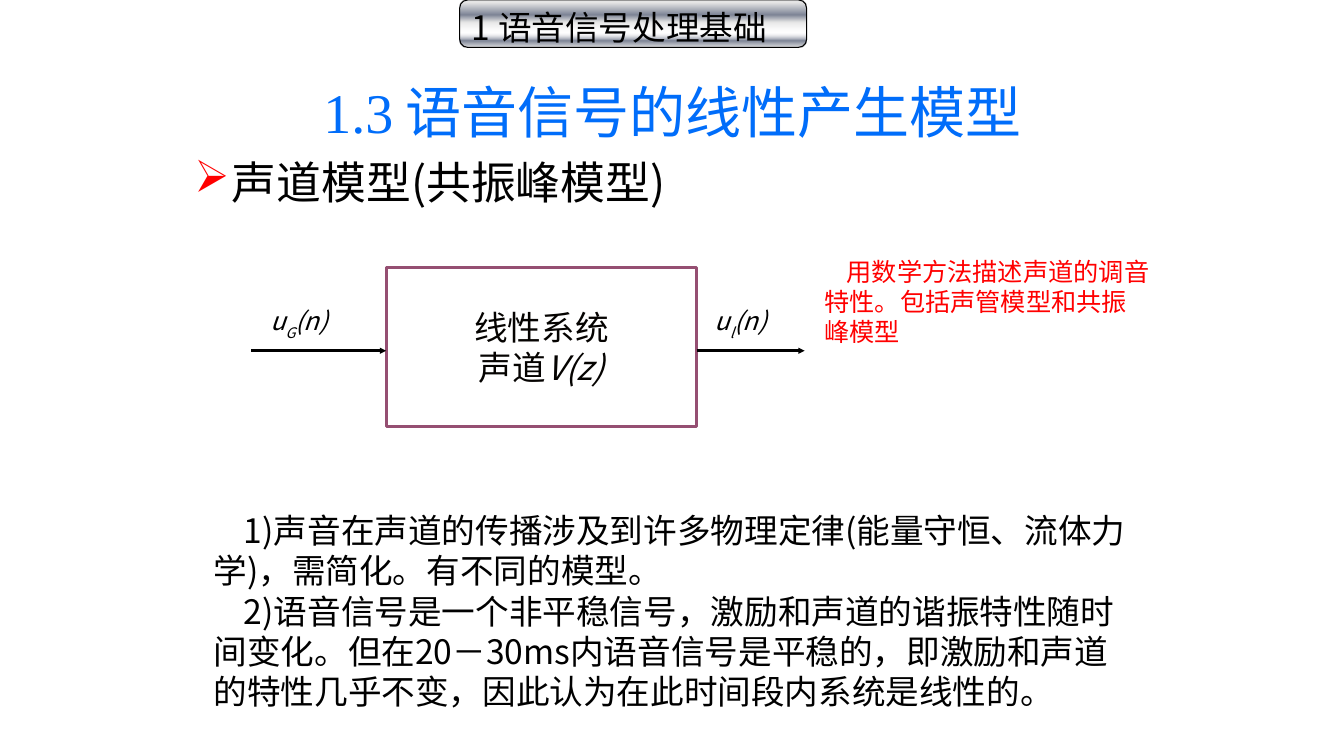
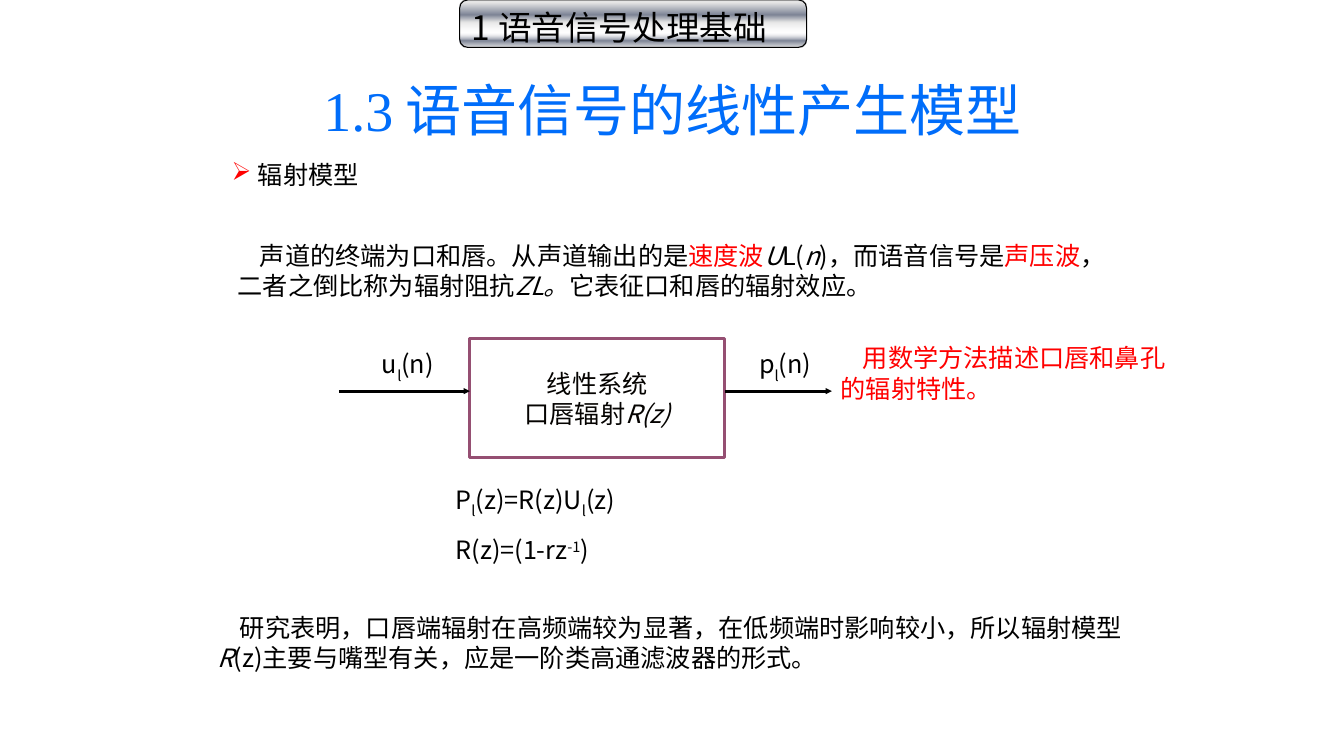
from dataclasses import dataclass

from lxml import etree
from pptx import Presentation
from pptx.dml.color import RGBColor
from pptx.enum.shapes import MSO_CONNECTOR, MSO_SHAPE
from pptx.enum.text import MSO_ANCHOR, MSO_AUTO_SIZE, PP_ALIGN
from pptx.oxml.ns import qn
from pptx.shapes.base import BaseShape
from pptx.slide import Slide
from pptx.util import Emu, Pt

TOP, MIDDLE, BOTTOM = MSO_ANCHOR.TOP, MSO_ANCHOR.MIDDLE, MSO_ANCHOR.BOTTOM
LEFT, CENTER = PP_ALIGN.LEFT, PP_ALIGN.CENTER
RECT, ROUND_RECT = MSO_SHAPE.RECTANGLE, MSO_SHAPE.ROUNDED_RECTANGLE
STRAIGHT = MSO_CONNECTOR.STRAIGHT
GROW, FIXED = MSO_AUTO_SIZE.SHAPE_TO_FIT_TEXT, MSO_AUTO_SIZE.NONE

BLACK = RGBColor(0x00, 0x00, 0x00)
WHITE = RGBColor(0xFF, 0xFF, 0xFF)
RED = RGBColor(0xFF, 0x00, 0x00)
TITLE_BLUE = RGBColor(0x00, 0x6D, 0xFA)
BOX_TEXT = RGBColor(0x05, 0x03, 0x01)
BOX_BORDER = RGBColor(0x95, 0x4F, 0x72)
SILVER = RGBColor(0xE6, 0xE6, 0xE6)
STEEL = RGBColor(0x7D, 0x84, 0x96)
PALE = RGBColor(0xF2, 0xF2, 0xF2)

SANS, SERIF = "Noto Sans CJK SC", "Times New Roman"
EMU_PER_PX = 9144  # 100 px to the inch

# Position in percent, colour, opacity in percent
CHAPTER_GRADIENT = ((7, SILVER, 100), (32, STEEL, 100), (47, SILVER, 100),
                    (68, PALE, 0), (85, STEEL, 100), (100, SILVER, 100))


@dataclass(frozen=True)
class Box:
    left: int
    top: int
    width: int
    height: int


@dataclass(frozen=True)
class Span:
    text: str
    color: RGBColor = BLACK
    italic: bool = False
    baseline: int = 0
    font: str = SANS


@dataclass(frozen=True)
class Style:
    size: int = 18
    align: PP_ALIGN = LEFT
    anchor: MSO_ANCHOR = TOP
    wrap: bool = True
    auto_size: MSO_AUTO_SIZE = GROW
    indent: int = 0        # first line
    bullet_gap: int = 0    # hanging indent of a bulleted line
    space_before: int = 0  # from the second paragraph on
    line_spacing: float = 1.0


@dataclass(frozen=True)
class Signal:
    box: Box
    symbol: str
    subscript: str
    italic: bool


@dataclass(frozen=True)
class SystemDiagram:
    box: Box
    size: int
    organ: str
    transfer: str
    arrow_y: int
    input_start: int
    output_end: int
    signals: tuple[Signal, ...]


Lines = list[list[Span]]


def px(length: int) -> Emu:
    return Emu(length * EMU_PER_PX)


def place(box: Box) -> tuple[Emu, Emu, Emu, Emu]:
    return px(box.left), px(box.top), px(box.width), px(box.height)


def fill_text(shape: BaseShape, lines: Lines, style: Style) -> None:
    frame = shape.text_frame
    frame.word_wrap = style.wrap
    frame.auto_size = style.auto_size
    frame.vertical_anchor = style.anchor
    for number, spans in enumerate(lines):
        paragraph = frame.add_paragraph() if number else frame.paragraphs[0]
        paragraph.alignment = style.align
        paragraph.line_spacing = style.line_spacing
        if number and style.space_before:
            paragraph.space_before = Pt(style.space_before)
        properties = paragraph._p.get_or_add_pPr()
        properties.set("marL", str(px(style.bullet_gap)))
        properties.set("indent", str(px(style.indent - style.bullet_gap)))
        if style.bullet_gap:
            bullet_color = etree.SubElement(properties, qn("a:buClr"))
            etree.SubElement(bullet_color, qn("a:srgbClr"), val=str(RED))
            etree.SubElement(properties, qn("a:buChar"), char="➢")
        for span in spans:
            run = paragraph.add_run()
            run.text = span.text
            run.font.size = Pt(style.size)
            run.font.italic = span.italic
            run.font.color.rgb = span.color
            run.font.name = span.font
            run_properties = run._r.get_or_add_rPr()
            etree.SubElement(run_properties, qn("a:ea"), typeface=span.font)
            if span.baseline:
                run_properties.set("baseline", str(span.baseline * 1000))


def add_text(slide: Slide, box: Box, lines: Lines, style: Style) -> None:
    fill_text(slide.shapes.add_textbox(*place(box)), lines, style)


def add_arrow(slide: Slide, start: int, end: int, y: int) -> None:
    arrow = slide.shapes.add_connector(STRAIGHT, px(start), px(y), px(end), px(y))
    arrow.line.color.rgb = BLACK
    arrow.line.width = Pt(2.25)
    etree.SubElement(arrow.line._get_or_add_ln(), qn("a:tailEnd"),
                     type="triangle", w="sm", len="sm")
    etree.SubElement(arrow._element.spPr, qn("a:effectLst"))


def add_chapter_band(slide: Slide) -> None:
    band = slide.shapes.add_shape(ROUND_RECT, *place(Box(456, 0, 344, 47)))
    band.shadow.inherit = False
    band.line.color.rgb = BLACK
    band.line.width = Pt(0.75)
    band.fill.gradient()
    band.fill.gradient_angle = 270
    stops = band._element.spPr.find(qn("a:gradFill")).find(qn("a:gsLst"))
    for old_stop in list(stops):
        stops.remove(old_stop)
    for position, color, opacity in CHAPTER_GRADIENT:
        stop = etree.SubElement(stops, qn("a:gs"), pos=str(position * 1000))
        stop_color = etree.SubElement(stop, qn("a:srgbClr"), val=str(color))
        if opacity < 100:
            etree.SubElement(stop_color, qn("a:alpha"), val=str(opacity * 1000))
    fill_text(band, [[Span("1 语音信号处理基础")]], Style(24, auto_size=FIXED))


def add_section_slide(deck: Presentation, title_height: int) -> Slide:
    slide = deck.slides.add_slide(deck.slide_layouts[6])
    title = [Span("1.3", TITLE_BLUE, font=SERIF),
             Span(" 语音信号的线性产生模型", TITLE_BLUE)]
    add_text(slide, Box(92, 40, 1150, title_height), [title],
             Style(40, CENTER, BOTTOM, auto_size=FIXED, line_spacing=0.9))
    add_chapter_band(slide)
    return slide


def add_system(slide: Slide, diagram: SystemDiagram) -> None:
    box = diagram.box
    system = slide.shapes.add_shape(RECT, *place(box))
    system.shadow.inherit = False
    system.fill.solid()
    system.fill.fore_color.rgb = WHITE
    system.line.color.rgb = BOX_BORDER
    system.line.width = Pt(2.25)
    fill_text(system, [[Span("线性系统", BOX_TEXT)],
                       [Span(diagram.organ, BOX_TEXT),
                        Span(diagram.transfer, BOX_TEXT, True)]],
              Style(diagram.size, CENTER, MIDDLE, auto_size=FIXED))
    add_arrow(slide, diagram.input_start, box.left, diagram.arrow_y)
    add_arrow(slide, box.left + box.width, diagram.output_end, diagram.arrow_y)
    for signal in diagram.signals:
        add_text(slide, signal.box,
                 [[Span(signal.symbol, italic=signal.italic),
                   Span(signal.subscript, italic=signal.italic, baseline=-30),
                   Span("(n)", italic=signal.italic)]], Style(wrap=False))


def build_vocal_tract(deck: Presentation) -> None:
    slide = add_section_slide(deck, 109)
    add_text(slide, Box(183, 149, 683, 64), [[Span("声道模型(共振峰模型)")]],
             Style(32, bullet_gap=37))
    add_system(slide, SystemDiagram(
        Box(383, 265, 308, 158), 24, "声道", "V(z)", 348, 249, 798,
        (Signal(Box(258, 298, 78, 40), "u", "G", True),
         Signal(Box(699, 298, 78, 40), "u", "l", True))))
    add_text(slide, Box(202, 501, 925, 212), [
        [Span("1)声音在声道的传播涉及到许多物理定律(能量守恒、流体力学)，"
              "需简化。有不同的模型。")],
        [Span("2)语音信号是一个非平稳信号，激励和声道的谐振特性随时间变化。"
              "但在20－30ms内语音信号是平稳的，即激励和声道的特性几乎不变，"
              "因此认为在此时间段内系统是线性的。")],
    ], Style(24, indent=30))
    add_text(slide, Box(808, 249, 343, 101),
             [[Span("用数学方法描述声道的调音特性。包括声管模型和共振峰模型", RED)]],
             Style(indent=22))


def build_radiation(deck: Presentation) -> None:
    slide = add_section_slide(deck, 107)
    add_text(slide, Box(220, 153, 683, 40), [[Span("辐射模型")]],
             Style(bullet_gap=26))
    add_system(slide, SystemDiagram(
        Box(466, 336, 253, 118), 18, "口唇辐射", "R(z)", 388, 336, 825,
        (Signal(Box(369, 341, 78, 40), "u", "l", False),
         Signal(Box(743, 341, 78, 40), "p", "l", False))))
    # Radiation formulas
    add_text(slide, Box(442, 476, 383, 86), [
        [Span("P"), Span("l", baseline=-25), Span("(z)=R(z)U"),
         Span("l", baseline=-25), Span("(z)")],
        [Span("R(z)=(1-rz"), Span("-1", baseline=30), Span(")")],
    ], Style(space_before=11))
    # Explanations
    add_text(slide, Box(226, 233, 890, 71), [[
        Span("声道的终端为口和唇。从声道输出的是"), Span("速度波", RED),
        Span("U", italic=True), Span("L("), Span("n", italic=True),
        Span(")，而语音信号是"), Span("声压波", RED),
        Span("，二者之倒比称为辐射阻抗"), Span("ZL。", italic=True),
        Span("它表征口和唇的辐射效应。"),
    ]], Style(anchor=MIDDLE, indent=22))
    add_text(slide, Box(206, 602, 945, 71), [[
        Span("研究表明，口唇端辐射在高频端较为显著，在低频端时影响较小，"
             "所以辐射模型"),
        Span("R", italic=True),
        Span("(z)主要与嘴型有关，应是一阶类高通滤波器的形式。"),
    ]], Style(anchor=MIDDLE, indent=22))
    add_text(slide, Box(824, 335, 343, 71),
             [[Span("用数学方法描述口唇和鼻孔的辐射特性。", RED)]],
             Style(indent=22))


def main() -> None:
    deck = Presentation()
    deck.slide_width, deck.slide_height = px(1333), px(750)
    build_vocal_tract(deck)
    build_radiation(deck)
    deck.save("out.pptx")


if __name__ == "__main__":
    main()
